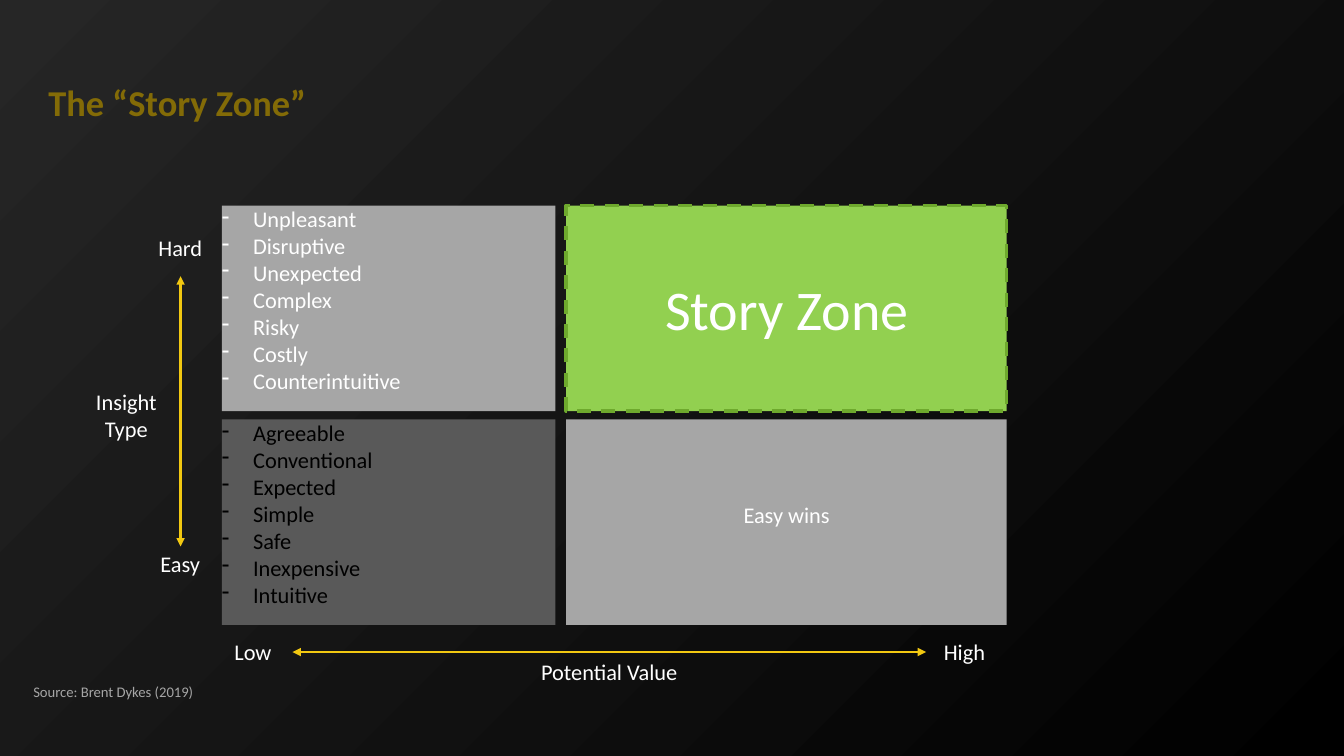
from lxml import etree
from pptx import Presentation
from pptx import util as u
from pptx.dml.color import RGBColor
from pptx.enum import dml, shapes, text
from pptx.oxml.ns import qn

Cm = u.Cm


def rgb(value):
    return RGBColor.from_string(value)


def write(sp, lines, size, color, align, bold=False, bullet=None):
    tf = sp.text_frame
    tf.word_wrap = True
    tf.auto_size = text.MSO_AUTO_SIZE.NONE
    tf.vertical_anchor = text.MSO_ANCHOR.TOP
    tf.margin_left = tf.margin_top = tf.margin_right = tf.margin_bottom = 0
    for i, line in enumerate(lines):
        p = tf.add_paragraph() if i else tf.paragraphs[0]
        p.alignment = align
        if bullet:
            pPr = p._p.get_or_add_pPr()
            pPr.set("marL", str(Cm(0.79)))
            pPr.set("indent", str(Cm(-0.79)))
            etree.SubElement(pPr, qn("a:buChar")).set("char", bullet)
        r = p.add_run()
        r.text = line
        r.font.name = "Calibri"
        r.font.size = u.Pt(size)
        r.font.bold = bold
        r.font.color.rgb = rgb(color)


prs = Presentation()
prs.slide_width, prs.slide_height = Cm(33.87), Cm(19.05)
s = prs.slides.add_slide(prs.slide_layouts[5])
LEFT, CENTER = text.PP_ALIGN.LEFT, text.PP_ALIGN.CENTER

bg = s.background.fill
bg.gradient()
bg.gradient_angle = 315
for stop, color in zip(bg.gradient_stops, ("262626", "000000")):
    stop.color.rgb = rgb(color)

title = s.shapes.title
title.left, title.top, title.width, title.height = Cm(1.22), Cm(2.03), Cm(31.4), Cm(2.31)
write(title, ["The “Story Zone”"], 26, "836B07", LEFT, bold=True)

columns = [(5.59, 8.41), (14.27, 11.1)]
rows = [5.18, 10.57]
row_height = 5.23 - 0.05
quadrants = [(0, 0, "A6A6A6"), (0, 1, "595959"), (1, 1, "A6A6A6"), (1, 0, "92D050")]
for col, row, color in quadrants:
    x, w = columns[col]
    sp = s.shapes.add_shape(shapes.MSO_SHAPE.RECTANGLE, Cm(x), Cm(rows[row]), Cm(w), Cm(row_height))
    sp.shadow.inherit = False
    sp.fill.solid()
    sp.fill.fore_color.rgb = rgb(color)
    if (col, row) == (1, 0):
        sp.line.color.rgb = rgb("6EA92D")
        sp.line.width = u.Pt(2.5)
        sp.line.dash_style = dml.MSO_LINE.DASH
    else:
        sp.line.fill.background()

hard = ["Unpleasant", "Disruptive", "Unexpected", "Complex", "Risky", "Costly", "Counterintuitive"]
easy = ["Agreeable", "Conventional", "Expected", "Simple", "Safe", "Inexpensive", "Intuitive"]
for y, traits, color in zip(rows, (hard, easy), ("FFFFFF", "000000")):
    sp = s.shapes.add_textbox(Cm(columns[0][0]), Cm(y), Cm(columns[0][1]), Cm(4.78))
    write(sp, traits, 16, color, LEFT, bullet="-")

labels = [
    ("Easy wins", 15.62, 12.62, 8.41, 0.69, 16),
    ("Story Zone", 15.62, 6.91, 8.41, 1.7, 40),
    ("Potential Value", 11.15, 16.59, 8.41, 0.69, 16),
    ("Insight Type", 1.93, 9.78, 2.51, 1.37, 16),
    ("Low", 5.41, 16.08, 1.93, 0.69, 16),
    ("High", 23.34, 16.08, 1.93, 0.69, 16),
    ("Hard", 3.58, 5.89, 1.93, 0.69, 16),
    ("Easy", 3.58, 13.87, 1.93, 0.69, 16),
]
for label, x, y, w, h, size in labels:
    write(s.shapes.add_textbox(Cm(x), Cm(y), Cm(w), Cm(h)), [label], size, "FFFFFF", CENTER)

source = s.shapes.add_textbox(Cm(0.84), Cm(17.2), Cm(7.19), Cm(0.46))
write(source, ["Source: Brent Dykes (2019)"], 10.5, "A6A6A6", LEFT)

for x1, y1, x2, y2 in [(7.37, 16.43, 23.34, 16.43), (4.55, 6.96, 4.55, 13.77)]:
    axis = s.shapes.add_connector(shapes.MSO_CONNECTOR.STRAIGHT, Cm(x1), Cm(y1), Cm(x2), Cm(y2))
    axis.line.color.rgb = rgb("F2C811")
    axis.line.width = u.Pt(2)
    ln = axis.line._get_or_add_ln()
    for end in ("a:headEnd", "a:tailEnd"):
        etree.SubElement(ln, qn(end)).set("type", "triangle")
    etree.SubElement(axis._element.spPr, qn("a:effectLst"))

prs.save("out.pptx")
